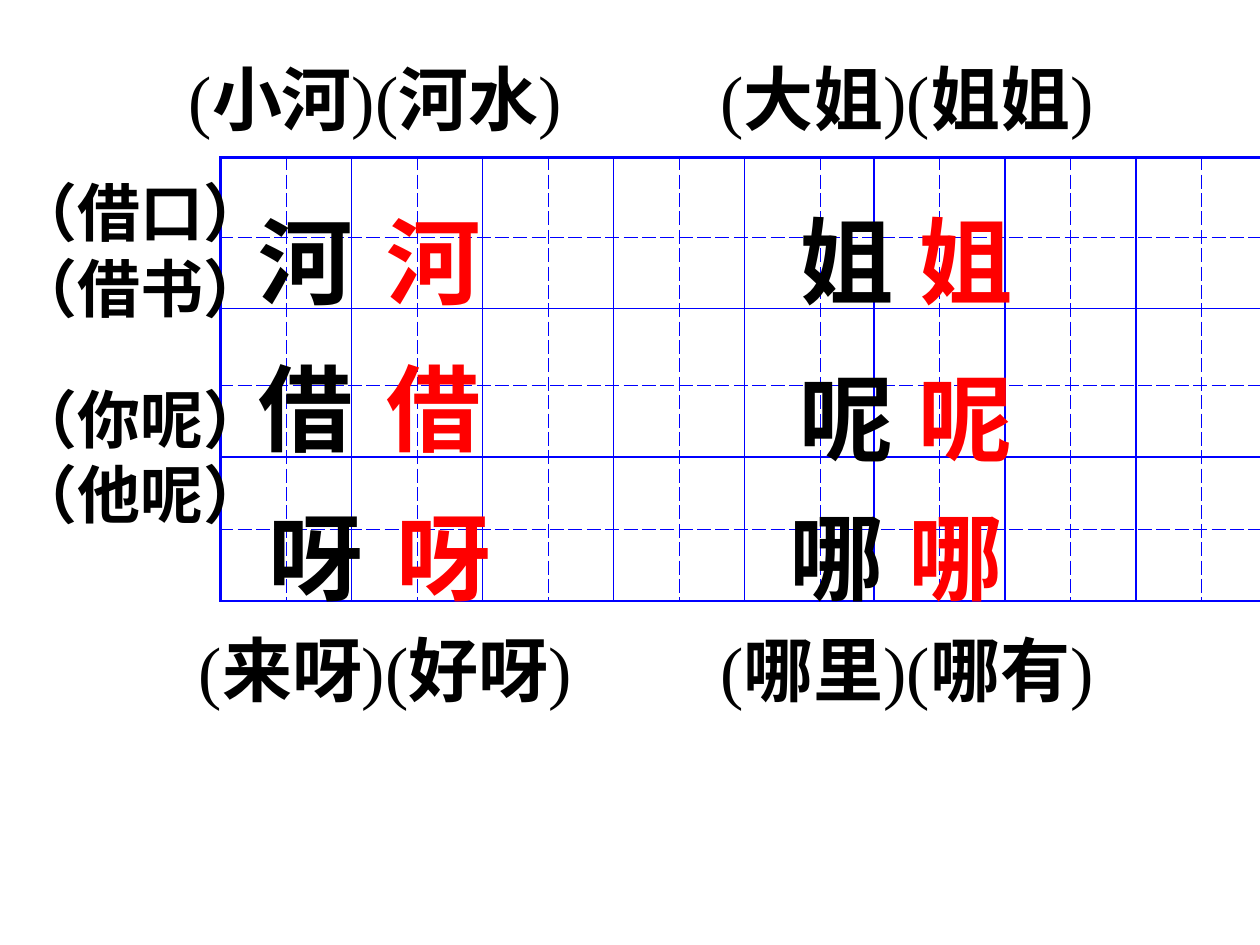
from dataclasses import dataclass

from lxml import etree
from pptx import Presentation
from pptx.dml.color import RGBColor
from pptx.oxml import ns
from pptx.util import Inches, Pt

SANS = "Noto Sans CJK SC"
SERIF = "Times New Roman"
BLACK = "000000"
RED = "FF0000"
BLUE = "0000FF"
OUTER, SOLID, DASHED = 1.47, 1.08, 0.34


@dataclass
class Run:
    text: str
    size: float
    font: str
    bold: bool = True
    color: str = BLACK


@dataclass
class Practice:
    char: str
    left: float
    red_left: float
    top: float


@dataclass
class WordPair:
    first: str
    second: str
    left: float
    top: float


@dataclass
class SideWords:
    words: tuple[str, str]
    top: float


PRACTICES = [
    Practice("河", 1.95, 2.97, 1.56),
    Practice("姐", 6.25, 7.19, 1.56),
    Practice("借", 1.95, 2.97, 2.73),
    Practice("呢", 6.25, 7.19, 2.81),
    Practice("呀", 2.03, 3.05, 3.91),
    Practice("哪", 6.17, 7.11, 3.91),
]
WORD_PAIRS = [
    WordPair("小河", "河水", 1.4, 0.39),
    WordPair("大姐", "姐姐", 5.62, 0.39),
    WordPair("来呀", "好呀", 1.48, 4.92),
    WordPair("哪里", "哪有", 5.62, 4.92),
]
SIDE_WORDS = [
    SideWords(("（借口）", "（借书）"), 1.33),
    SideWords(("（你呢）", "（他呢）"), 2.97),
]
COLUMNS = [0.52] * 8 + [0.6, 0.43] + [0.52] * 6
ROWS = [0.63, 0.57, 0.61, 0.57, 0.57, 0.57]


def rgb(color: str) -> RGBColor:
    return RGBColor.from_string(color)


def add_text(slide, left: float, top: float, width: float, height: float,
             paragraphs: list[list[Run]]) -> None:
    sp = slide.shapes.add_textbox(Inches(left), Inches(top), Inches(width), Inches(height))
    tf = sp.text_frame
    tf.word_wrap = False
    for i, runs in enumerate(paragraphs):
        p = tf.add_paragraph() if i else tf.paragraphs[0]
        for run in runs:
            r = p.add_run()
            r.text = run.text
            r.font.size = Pt(run.size)
            r.font.bold = run.bold
            r.font.name = run.font
            r.font.color.rgb = rgb(run.color)
            ea = etree.SubElement(r.font._element, ns.qn("a:ea"))
            ea.set("typeface", SANS)


def add_border(cell, side: str, width: float) -> None:
    ln = etree.SubElement(cell._tc.get_or_add_tcPr(), ns.qn(f"a:{side}"), w=str(Pt(width)))
    fill = etree.SubElement(ln, ns.qn("a:solidFill"))
    etree.SubElement(fill, ns.qn("a:srgbClr"), val=BLUE)
    etree.SubElement(ln, ns.qn("a:prstDash"), val="dash" if width == DASHED else "solid")


def edge_width(index: int, count: int) -> float:
    if index in (0, count):
        return OUTER
    return DASHED if index % 2 else SOLID


def add_grid(slide) -> None:
    rows, cols = len(ROWS), len(COLUMNS)
    table = slide.shapes.add_table(rows, cols, Inches(1.75), Inches(1.25),
                                   Inches(8.25), Inches(3.52)).table
    table.first_row = False
    table.horz_banding = False
    for column, width in zip(table.columns, COLUMNS):
        column.width = Inches(width)
    for row, height in zip(table.rows, ROWS):
        row.height = Inches(height)
    for i in range(rows):
        for j in range(cols):
            cell = table.cell(i, j)
            add_border(cell, "lnL", edge_width(j, cols))
            add_border(cell, "lnR", edge_width(j + 1, cols))
            add_border(cell, "lnT", edge_width(i, rows))
            add_border(cell, "lnB", edge_width(i + 1, rows))
            cell.fill.background()


def add_practice(slide, item: Practice) -> None:
    for left, color in ((item.left, BLACK), (item.red_left, RED)):
        add_text(slide, left, item.top, 0.63, 0.68,
                 [[Run(item.char, 54, SANS, color=color)]])


def add_word_pair(slide, pair: WordPair) -> None:
    parts = ["(", pair.first, ")(", pair.second, ")"]
    runs = [Run(part, 40, SERIF, bold=i % 2 == 1) for i, part in enumerate(parts)]
    add_text(slide, pair.left, pair.top, 3.69, 0.77, [runs])


def add_side_words(slide, side: SideWords) -> None:
    add_text(slide, 0.02, side.top, 2.2, 1.3,
             [[Run(word, 36, SERIF)] for word in side.words])


def main() -> None:
    prs = Presentation()
    prs.slide_width, prs.slide_height = Inches(10), Inches(7.5)
    slide = prs.slides.add_slide(prs.slide_layouts[6])
    add_grid(slide)
    for item in PRACTICES:
        add_practice(slide, item)
    for pair in WORD_PAIRS:
        add_word_pair(slide, pair)
    for side in SIDE_WORDS:
        add_side_words(slide, side)
    prs.save("out.pptx")


if __name__ == "__main__":
    main()
